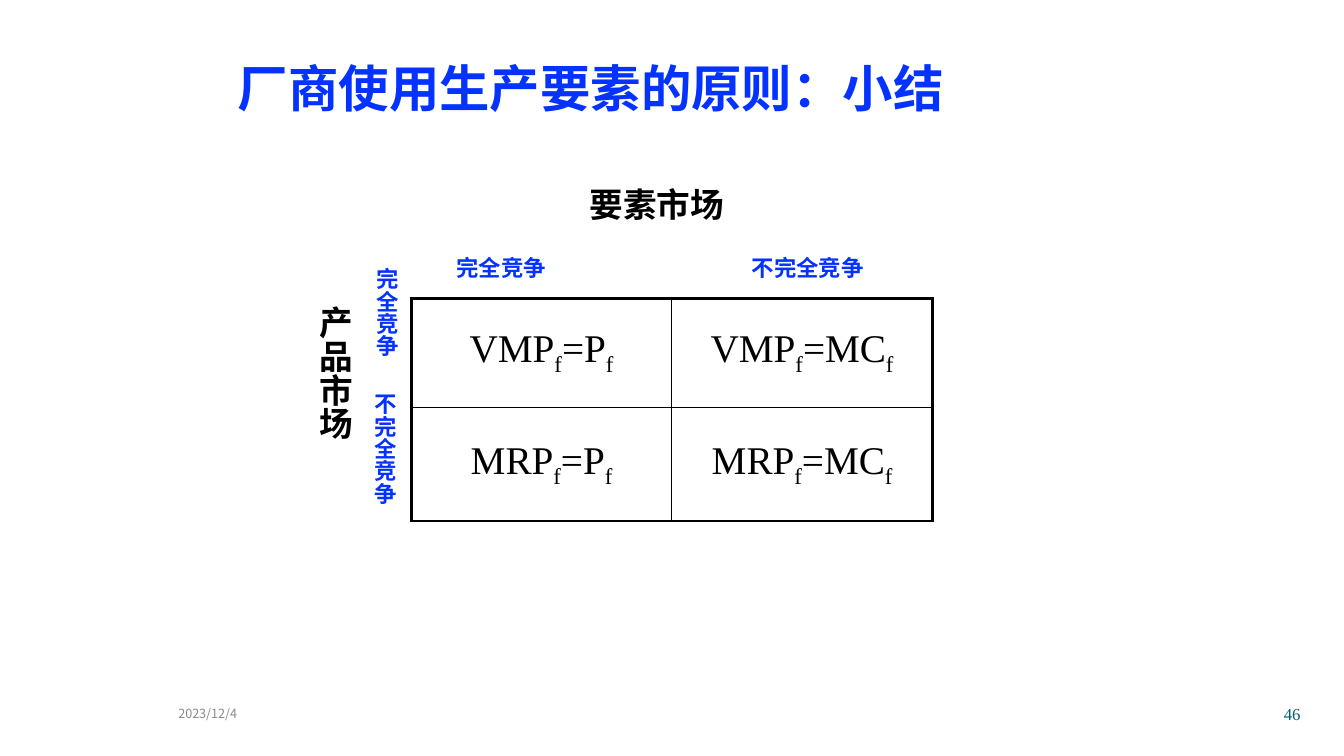
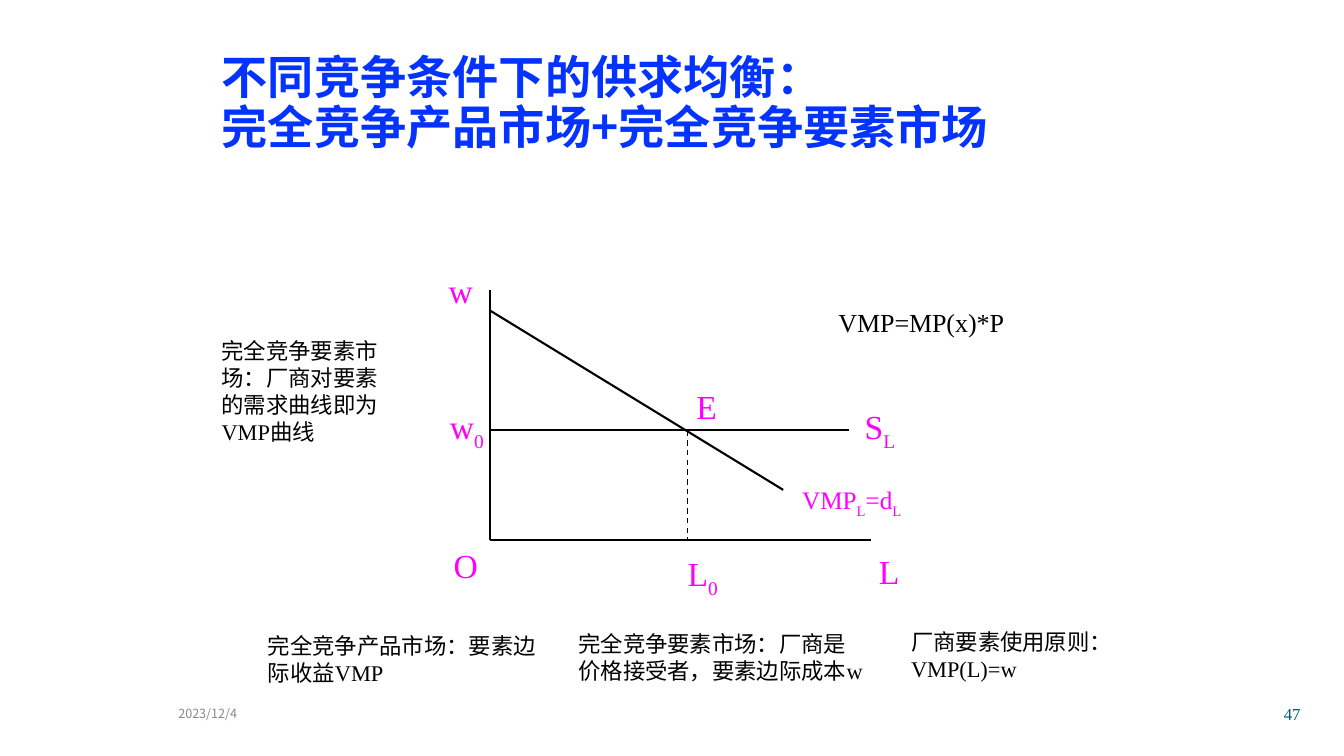
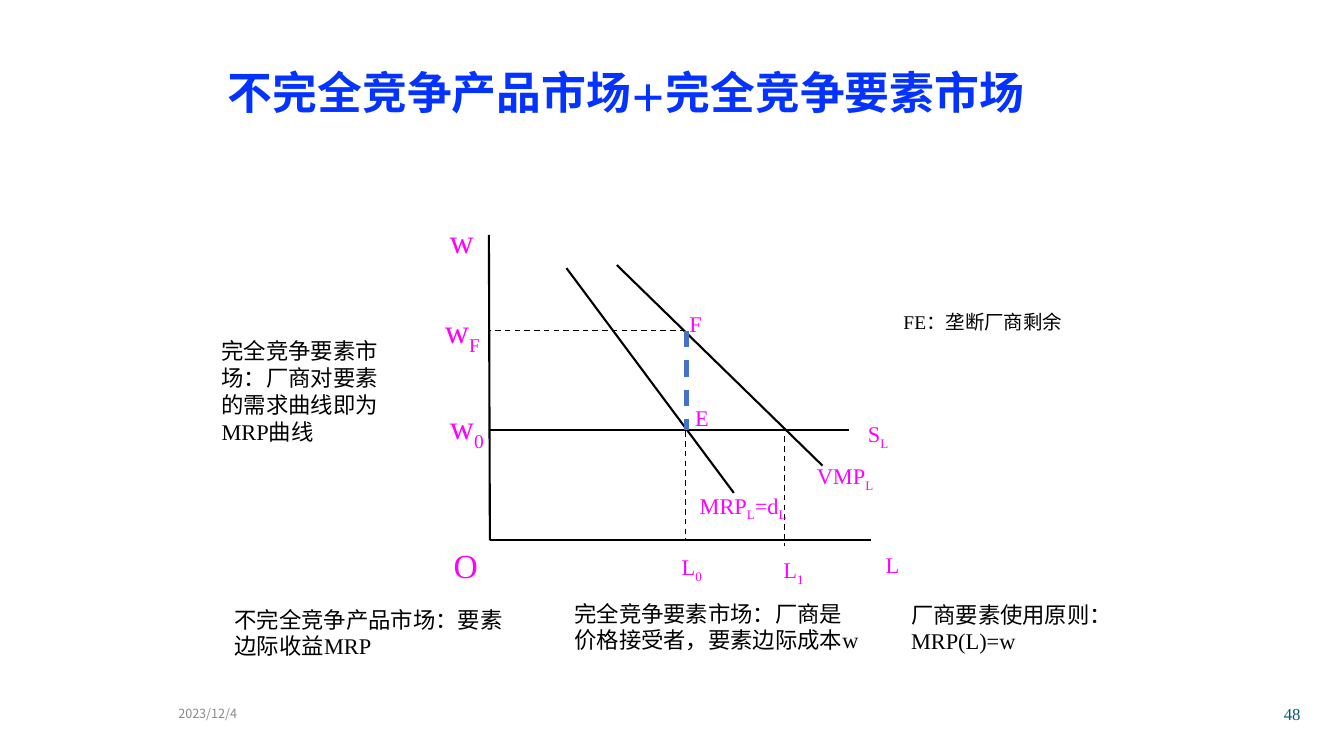
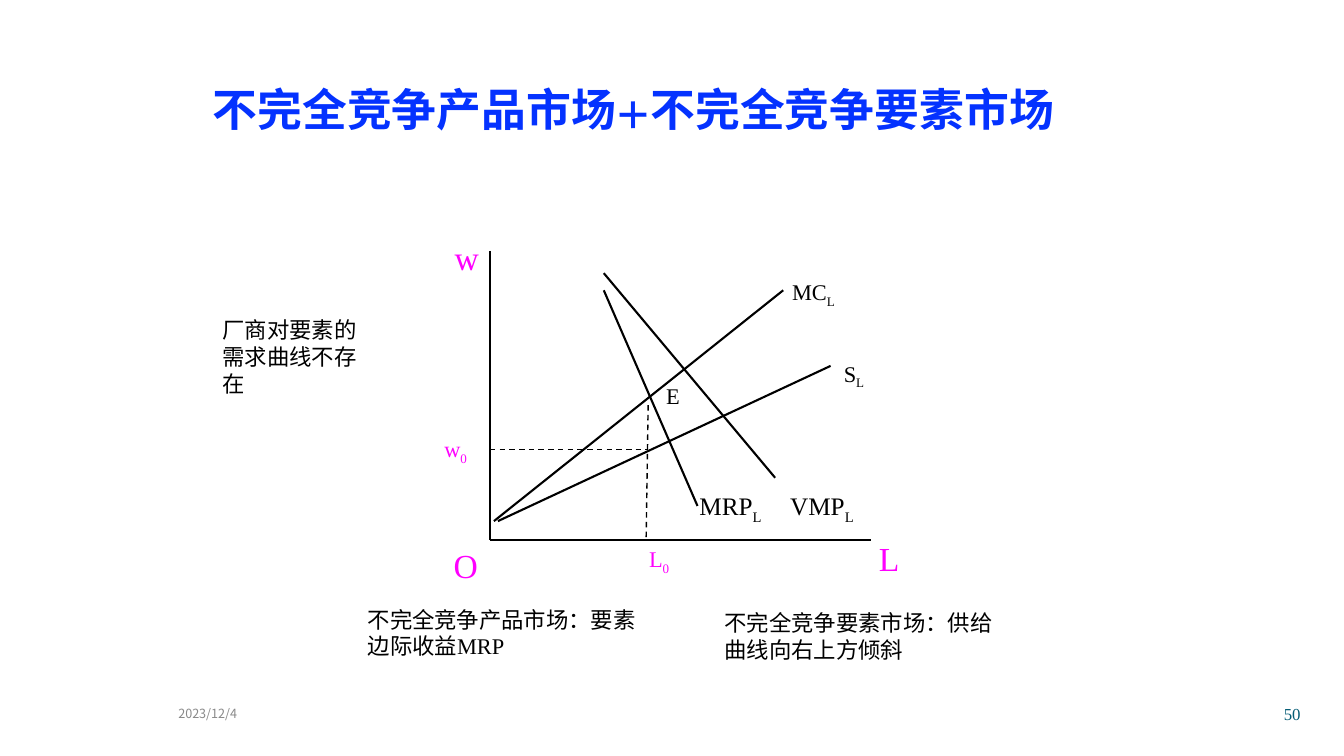
from lxml import etree
from pptx import Presentation
from pptx.dml.color import RGBColor
from pptx.enum.dml import MSO_LINE
from pptx.enum.shapes import MSO_CONNECTOR
from pptx.enum.text import MSO_ANCHOR, MSO_AUTO_SIZE, PP_ALIGN
from pptx.oxml.ns import qn
from pptx.util import Inches, Pt

LEFT, MID, RIGHT = PP_ALIGN.LEFT, PP_ALIGN.CENTER, PP_ALIGN.RIGHT
TOP, CENTRE = MSO_ANCHOR.TOP, MSO_ANCHOR.MIDDLE
DASH, LINE = MSO_LINE.DASH, MSO_CONNECTOR.STRAIGHT
NONE = MSO_AUTO_SIZE.NONE
BLUE, PINK, BLACK, GREY, TEAL, STEEL = (
    "0432FF", "FF00FF", "000000", "898989", "045C75", "4472C4")
SANS, SERIF, BOOK = "Noto Sans CJK SC", "Times New Roman", "TeX Gyre Pagella"

CELL = Inches(0.1)
COLS, ROWS = 133.33, 75
LEAD = 6

deck = Presentation()
deck.slide_width, deck.slide_height = round(COLS * CELL), ROWS * CELL
plain = deck.slide_layouts[5]


def put(frame, text, size, ink, side=LEFT, font=SERIF, bold=False, lead=None):
    for at, row in enumerate(text.split("\n")):
        para = frame.add_paragraph() if at else frame.paragraphs[0]
        para.alignment = side
        para.space_before = Pt(0)
        para.line_spacing = lead
        for turn, part in enumerate(row.split("|")):
            if not part:
                continue
            run = para.add_run()
            run.text = part
            run.font.size = Pt(size)
            run.font.bold = bold
            run.font.color.rgb = RGBColor.from_string(ink)
            run.font.name = font
            props = run.font._element
            etree.SubElement(props, qn("a:ea")).set("typeface", SANS)
            if turn % 2:
                props.set("baseline", "-25000")


def box(page, x, y, wide, high, text, size, ink, side=LEFT, font=SERIF,
        bold=False, anchor=TOP):
    shape = page.shapes.add_textbox(
        *(round(n * CELL) for n in (x, y, wide, high)))
    shape.text_frame.word_wrap = True
    shape.text_frame.vertical_anchor = anchor
    put(shape.text_frame, text, size, ink, side, font, bold)
    return shape


heads = [
    (46, "厂商使用生产要素的原则：小结", 22.6, 5.7, 85, 6.7, 36, SANS, CENTRE, 0.9),
    (47, "不同竞争条件下的供求均衡：\n完全竞争产品市场+完全竞争要素市场",
     21, 4.1, 85, 12.5, 33, SANS, CENTRE, 0.9),
    (48, "不完全竞争产品市场+完全竞争要素市场", 21.6, 5.9, 90, 8.2, 32, BOOK, TOP, None),
    (50, "不完全竞争产品市场+不完全竞争要素市场", 20.1, 7.6, 90, 8, 32, BOOK, TOP, None),
]
pages = []
for num, text, x, y, wide, high, size, font, anchor, lead in heads:
    page = deck.slides.add_slide(plain)
    head = page.shapes.title
    head.left, head.top, head.width, head.height = (
        round(n * CELL) for n in (x, y, wide, high))
    frame = head.text_frame
    frame.auto_size = NONE
    frame.word_wrap = True
    frame.vertical_anchor = anchor
    put(frame, text, size, BLUE, LEFT, font, True, lead)
    box(page, 16.7, 68.3, 27.8, 5, "2023/12/4", 9, GREY, font=SANS, anchor=CENTRE)
    box(page, 102.2, 68.3, 27.8, 5, str(num), 12, TEAL, RIGHT, anchor=CENTRE)
    pages.append(page)

first = pages[0]
rules = [["VMP|f|=P|f", "VMP|f|=MC|f"], ["MRP|f|=P|f", "MRP|f|=MC|f"]]
table = first.shapes.add_table(
    2, 2, *(round(n * CELL) for n in (40.8, 29.6, 51.7, 22.1))).table
table.first_row = table.horz_banding = False
for col in table.columns:
    col.width = round(25.85 * CELL)
for row, high in zip(table.rows, (10.8, 11.3)):
    row.height = round(high * CELL)
for r, row in enumerate(rules):
    for c, text in enumerate(row):
        cell = table.cell(r, c)
        cell.vertical_anchor = CENTRE
        put(cell.text_frame, text, 28, BLACK, MID)
        props = cell._tc.get_or_add_tcPr()
        for tag, edge in (("lnL", c == 0), ("lnR", c == 1),
                          ("lnT", r == 0), ("lnB", r == 1)):
            rim = etree.SubElement(props, qn("a:" + tag))
            rim.set("w", str(Pt(2.25 if edge else 1)))
            fill = etree.SubElement(rim, qn("a:solidFill"))
            etree.SubElement(fill, qn("a:srgbClr")).set("val", BLACK)
        cell.fill.background()

for x, y, wide, high, text, size, ink in (
        (57.5, 17.8, 18.4, 5, "要素市场", 24, BLACK),
        (44.3, 24.7, 18.4, 3.7, "完全竞争", 16, BLUE),
        (73.6, 24.7, 13.4, 3.7, "不完全竞争", 16, BLUE)):
    box(first, x, y, wide, high, text, size, ink, bold=True)
for x, y, wide, high, text, size, ink in (
        (29.6, 29.4, 6.1, 17.3, "产品市场", 24, BLACK),
        (35.5, 25.6, 4.7, 12.4, "完全竞争", 16, BLUE),
        (35.3, 38, 4.7, 13.9, "不完全竞争", 16, BLUE)):
    shape = box(first, x, y, wide, high, text, size, ink, RIGHT, bold=True)
    shape.element.txBody.bodyPr.set("vert", "eaVert")

left, base, end = 48.6, 53.6, 86.4
wage, stop = 42.7, 84.2
solid, dash, gap = (BLACK, 1.5, None), (BLACK, 1, DASH), (STEEL, 3, DASH)
lines = [
    [(left, 28.8, left, base, solid),
     (left, wage, stop, wage, solid),
     (left, 30.8, 77.7, 48.6, solid),
     (68.2, wage, 68.2, base, dash)],
    [(48.5, 23.3, left, base, solid),
     (left, wage, stop, wage, solid),
     (61.2, 26.3, 81.6, 46.2, solid),
     (77.8, 43.3, 77.8, 54.2, dash),
     (56.2, 26.6, 72.8, 48.9, solid),
     (68, 42.8, 68, 53.7, dash),
     (68.1, 32.8, 68.1, wage, gap),
     (68, 32.8, 48.5, 32.8, dash)],
    [(left, 24.9, left, base, solid),
     (49.4, 51.7, 82.4, 36.3, solid),
     (59.9, 27.1, 76.9, 47.4, solid),
     (64.3, 40.2, 64.1, base, dash),
     (49, 51.7, 77.7, 28.8, solid),
     (left, 44.6, 64.3, 44.6, dash),
     (59.9, 28.8, 69.2, 50.2, solid)],
]
marks = [
    [(43.2, 26.3, 4.7, "w", 24, PINK, RIGHT),
     (42.4, 39.8, 6.6, "w|0", 24, PINK, RIGHT),
     (85.5, 54.2, 4.7, "L", 24, PINK, RIGHT),
     (66.4, 54.4, 5.8, "L|0", 24, PINK, RIGHT),
     (67.4, 37.8, 4.7, "E", 24, PINK, RIGHT),
     (84, 39.8, 5.8, "S|L", 24, PINK, RIGHT),
     (77.5, 47.6, 12.9, "VMP|L|=d|L", 18, PINK, RIGHT),
     (82.2, 26.9, 23, "|VMP=MP(x)*P", 32, BLACK, LEFT)],
    [(43.3, 21.3, 4.7, "w", 24, PINK, RIGHT),
     (42.4, 39.8, 6.6, "w|0", 24, PINK, RIGHT),
     (42, 30.3, 6.6, "w|F", 24, PINK, RIGHT),
     (85.5, 54.2, 4.7, "L", 16, PINK, RIGHT),
     (64.8, 54.4, 5.8, "L|0", 16, PINK, RIGHT),
     (74.9, 54.7, 5.8, "L|1", 16, PINK, RIGHT),
     (66.6, 39.6, 4.7, "E", 16, PINK, RIGHT),
     (67.4, 30.3, 3.2, "F", 16, PINK, RIGHT),
     (83.3, 41.2, 5.8, "S|L", 16, PINK, RIGHT),
     (74.7, 45.4, 12.9, "VMP|L", 16, PINK, RIGHT),
     (66.1, 48.3, 12.9, "MRP|L|=d|L", 16, PINK, RIGHT),
     (83.8, 28, 22.6, "|FE：垄断厂商剩余", 24, BLACK, RIGHT)],
    [(43.8, 23, 4.7, "w", 24, PINK, RIGHT),
     (43.1, 42.7, 6, "w|0", 16, PINK, LEFT),
     (85.5, 52.9, 4.7, "L", 24, PINK, RIGHT),
     (63.4, 53.6, 5.8, "L|0", 16, PINK, LEFT),
     (65.1, 37.4, 4.7, "E", 16, BLACK, LEFT),
     (80.9, 35.2, 5.8, "S|L", 16, BLACK, RIGHT),
     (77.4, 48.2, 10.5, "VMP|L", 18, BLACK, LEFT),
     (77.6, 27.1, 7.9, "MC|L", 16, BLACK, LEFT),
     (68.4, 48.2, 10.5, "MRP|L", 18, BLACK, LEFT)],
]
notes = [
    [(25.6, 62.2, 30.7, 2, "完全竞争产品市场：要素边际收益VMP"),
     (56.4, 62, 30.7, 2, "完全竞争要素市场：厂商是价格接受者，要素边际成本w"),
     (21, 33, 18.9, 4, "完全竞争要素市场：厂商对要素的需求曲线即为VMP曲线"),
     (89.4, 61.8, 30.7, 2, "厂商要素使用原则：VMP(L)=w")],
    [(22.3, 59.6, 30.7, 2, "不完全竞争产品市场：要素边际收益MRP"),
     (56, 59, 30.7, 2, "完全竞争要素市场：厂商是价格接受者，要素边际成本w"),
     (21, 33, 18.9, 4, "完全竞争要素市场：厂商对要素的需求曲线即为MRP曲线"),
     (89.4, 59.1, 30.7, 2, "厂商要素使用原则：MRP(L)=w")],
    [(35.5, 59.6, 30.7, 2, "不完全竞争产品市场：要素边际收益MRP"),
     (70.9, 59.9, 30.7, 2, "不完全竞争要素市场：供给曲线向右上方倾斜"),
     (21.1, 30.9, 16.6, 3, "厂商对要素的需求曲线不存在")],
]

for page, curves, tags, texts in zip(pages[1:], lines, marks, notes):
    for *ends, (ink, thick, style) in [(left, base, end, base, solid)] + curves:
        link = page.shapes.add_connector(LINE, *(round(n * CELL) for n in ends))
        link.line.color.rgb = RGBColor.from_string(ink)
        link.line.width = Pt(thick)
        if style:
            link.line.dash_style = style
        etree.SubElement(link.element.spPr, qn("a:effectLst"))
    for x, y, wide, text, size, ink, side in tags:
        share = 0.67 if text[0] == "|" else 1
        box(page, x, y, wide, share * size / LEAD + 1, text, size, ink, side)
    for x, y, wide, count, text in texts:
        box(page, x, y, wide, count * 16 / LEAD + 1, text, 16, BLACK)
    box(page, 43.7, base, 4.7, 24 / LEAD + 1, "O", 24, PINK, RIGHT)

deck.save("out.pptx")
